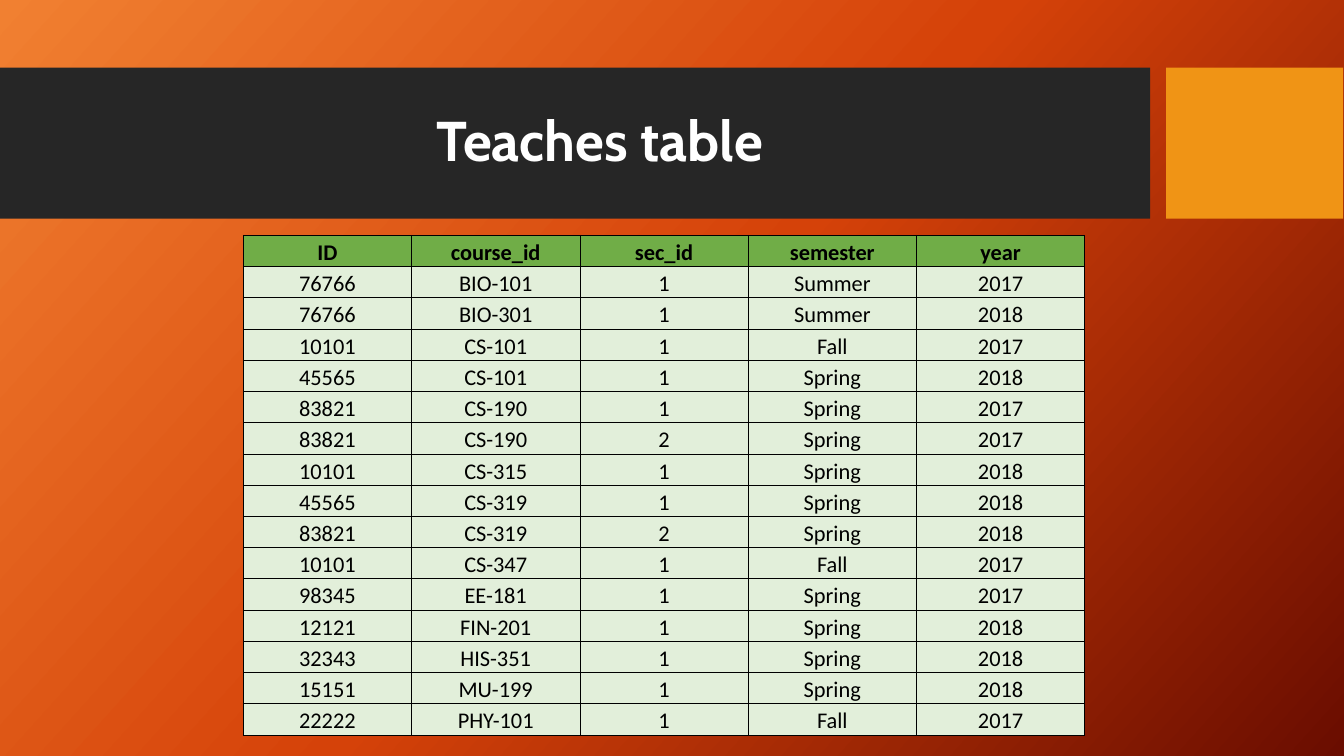
from copy import deepcopy

from pptx import Presentation
from pptx.dml.color import RGBColor
from pptx.enum.shapes import MSO_SHAPE
from pptx.enum.text import MSO_ANCHOR, PP_ALIGN
from pptx.oxml import parse_xml
from pptx.oxml.ns import nsdecls, qn
from pptx.util import Pt

TITLE = "Teaches table"
HEADINGS = ("ID", "course_id", "sec_id", "semester", "year")
COURSES = [
    ("76766", "BIO-101", "1", "Summer", "2017"),
    ("76766", "BIO-301", "1", "Summer", "2018"),
    ("10101", "CS-101", "1", "Fall", "2017"),
    ("45565", "CS-101", "1", "Spring", "2018"),
    ("83821", "CS-190", "1", "Spring", "2017"),
    ("83821", "CS-190", "2", "Spring", "2017"),
    ("10101", "CS-315", "1", "Spring", "2018"),
    ("45565", "CS-319", "1", "Spring", "2018"),
    ("83821", "CS-319", "2", "Spring", "2018"),
    ("10101", "CS-347", "1", "Fall", "2017"),
    ("98345", "EE-181", "1", "Spring", "2017"),
    ("12121", "FIN-201", "1", "Spring", "2018"),
    ("32343", "HIS-351", "1", "Spring", "2018"),
    ("15151", "MU-199", "1", "Spring", "2018"),
    ("22222", "PHY-101", "1", "Fall", "2017"),
]
BACKGROUND = [(0, "F18031"), (0.5, "D54209"), (1, "6A0D00")]
BACKGROUND_ANGLE = 42  # clockwise
BANNER_TOP, BANNER_HEIGHT = 48.24, 108
BANNER = [(0, 821.5, "262626"), (833, 126.5, "F09415")]  # left, width, colour
TABLE_LEFT, TABLE_TOP = 173.75, 168
COLUMN_WIDTH, ROW_HEIGHT = 120.24, 22.32


def rgb(colour):
    return RGBColor.from_string(colour)


def add_run(paragraph, text, font, size, colour, bold):
    paragraph.alignment = PP_ALIGN.CENTER
    run = paragraph.add_run()
    run.text = text
    run.font.name = font
    run.font.size = Pt(size)
    run.font.bold = bold
    run.font.color.rgb = rgb(colour)


def paint_background(slide):
    fill = slide.background.fill
    fill.gradient()
    fill.gradient_angle = 360 - BACKGROUND_ANGLE
    stop_list = slide.element.find(".//" + qn("a:gsLst"))
    stop_list.append(deepcopy(stop_list[-1]))
    for stop, (position, colour) in zip(fill.gradient_stops, BACKGROUND):
        stop.position = position
        stop.color.rgb = rgb(colour)


def add_banner(slide):
    """Place the title and slide the banner blocks behind it."""
    title = slide.shapes.title
    title.left, title.top, title.width, title.height = map(Pt, (68.4, 71.28, 720, 55.44))
    title.text_frame.vertical_anchor = MSO_ANCHOR.MIDDLE
    add_run(title.text_frame.paragraphs[0], TITLE, "Cabin", 40, "FFFFFF", True)
    for left, width, colour in BANNER:
        block = slide.shapes.add_shape(
            MSO_SHAPE.RECTANGLE, Pt(left), Pt(BANNER_TOP), Pt(width), Pt(BANNER_HEIGHT))
        block.shadow.inherit = False
        block.fill.solid()
        block.fill.fore_color.rgb = rgb(colour)
        block.line.fill.background()
        title.element.addprevious(block.element)


def format_cell(cell, text, heading):
    cell.vertical_anchor = MSO_ANCHOR.BOTTOM
    cell.margin_left = cell.margin_right = cell.margin_top = Pt(0.72)
    cell.margin_bottom = 0
    add_run(cell.text_frame.paragraphs[0], text, "Calibri", 16, "000000", heading)
    properties = cell._tc.get_or_add_tcPr()
    for side in ("lnL", "lnR", "lnT", "lnB"):
        properties.append(parse_xml(
            f'<a:{side} {nsdecls("a")} w="{Pt(0.5)}"><a:solidFill>'
            f'<a:srgbClr val="000000"/></a:solidFill></a:{side}>'))
    cell.fill.solid()
    cell.fill.fore_color.rgb = rgb("70AD47" if heading else "E2EFDA")


def add_course_table(slide):
    rows = [HEADINGS, *COURSES]
    table = slide.shapes.add_table(
        len(rows), len(HEADINGS), Pt(TABLE_LEFT), Pt(TABLE_TOP),
        Pt(COLUMN_WIDTH * len(HEADINGS)), Pt(ROW_HEIGHT * len(rows))).table
    for column in table.columns:
        column.width = Pt(COLUMN_WIDTH)
    for r, values in enumerate(rows):
        table.rows[r].height = Pt(ROW_HEIGHT)
        for c, value in enumerate(values):
            format_cell(table.cell(r, c), value, heading=r == 0)


def main():
    deck = Presentation()
    deck.slide_width, deck.slide_height = Pt(960), Pt(540)
    slide = deck.slides.add_slide(deck.slide_layouts[5])
    paint_background(slide)
    add_banner(slide)
    add_course_table(slide)
    deck.save("out.pptx")


if __name__ == "__main__":
    main()
